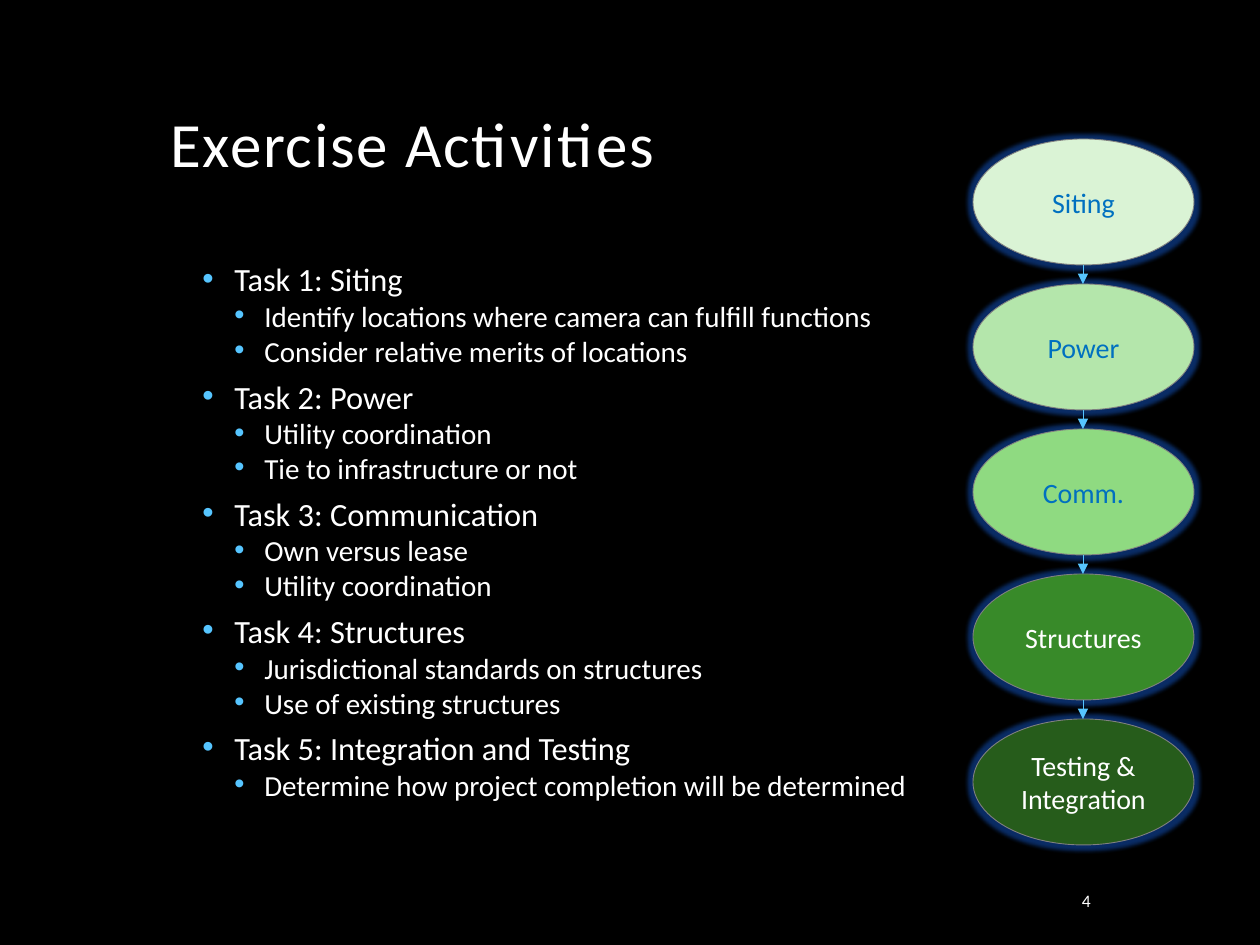
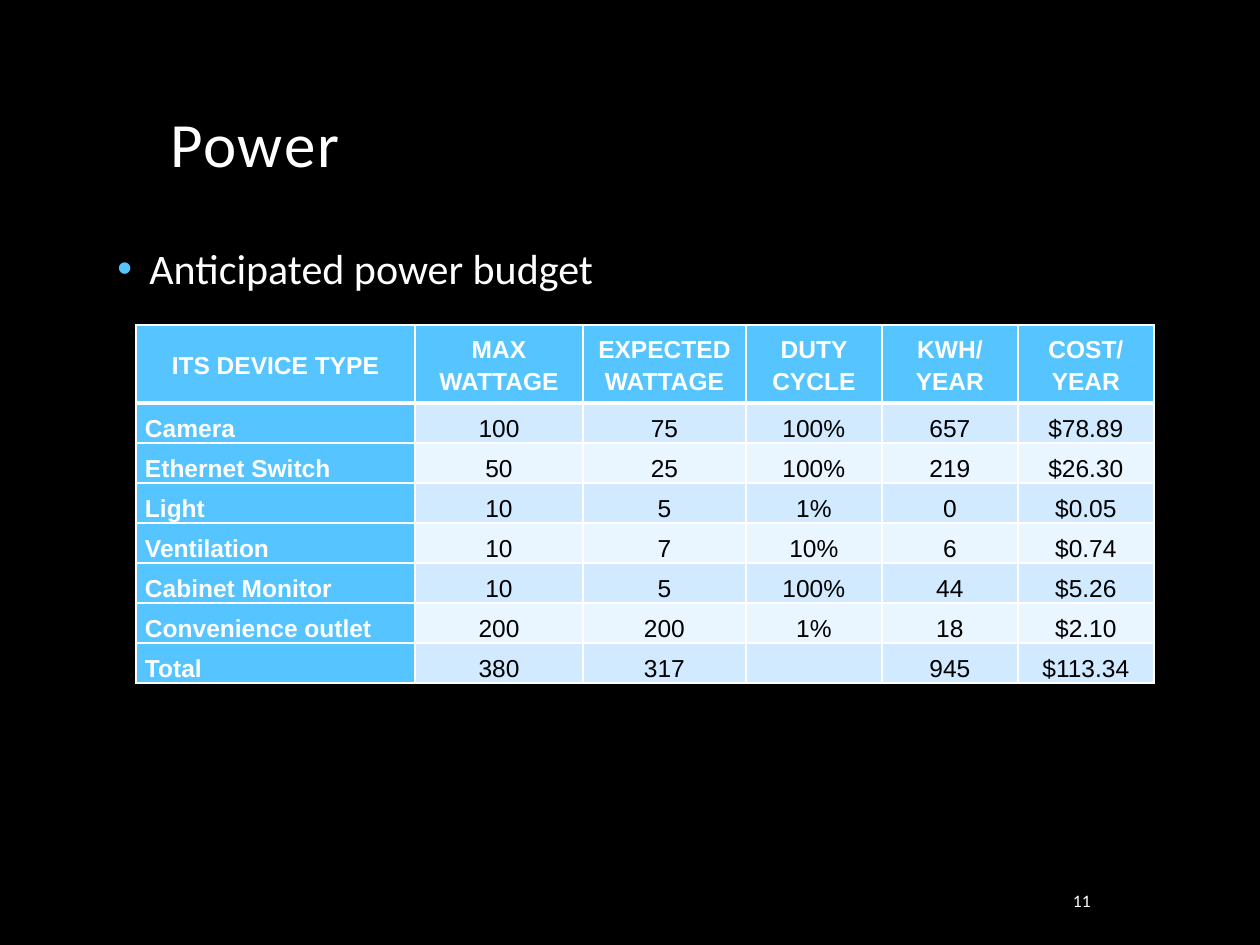
from lxml import etree
from pptx import Presentation
from pptx.dml.color import RGBColor
from pptx.enum.shapes import MSO_CONNECTOR as CONN, MSO_SHAPE as SHAPE
from pptx.enum.text import MSO_ANCHOR as ANCHOR, PP_ALIGN as ALIGN
from pptx.oxml.ns import qn
from pptx.util import Emu, Pt

PX_PER_INCH = 126
BLACK, WHITE, SKY, BLUE = "000000", "FFFFFF", "56C5FF", "0070C0"
GRAY, GLOW = "808080", "1970FF"
BANDS = ["D1EAFF", "E9F5FF"]

TASKS = [
    ("Task 1: Siting", ["Identify locations where camera can fulfill functions",
                        "Consider relative merits of locations"]),
    ("Task 2: Power", ["Utility coordination", "Tie to infrastructure or not"]),
    ("Task 3: Communication", ["Own versus lease", "Utility coordination"]),
    ("Task 4: Structures", ["Jurisdictional standards on structures",
                            "Use of existing structures"]),
    ("Task 5: Integration and Testing",
     ["Determine how project completion will be determined"]),
]
STEPS = [
    ("Siting", "DAF3D5", BLUE),
    ("Power", "B4E6AB", BLUE),
    ("Comm.", "8FDA81", BLUE),
    ("Structures", "388A29", WHITE),
    ("Testing & Integration", "265C1B", WHITE),
]
BUDGET = [
    ["ITS DEVICE TYPE", "MAX WATTAGE", "EXPECTED WATTAGE", "DUTY CYCLE",
     "KWH/\nYEAR", "COST/\nYEAR"],
    ["Camera", "100", "75", "100%", "657", "$78.89"],
    ["Ethernet Switch", "50", "25", "100%", "219", "$26.30"],
    ["Light", "10", "5", "1%", "0", "$0.05"],
    ["Ventilation", "10", "7", "10%", "6", "$0.74"],
    ["Cabinet Monitor", "10", "5", "100%", "44", "$5.26"],
    ["Convenience outlet", "200", "200", "1%", "18", "$2.10"],
    ["Total", "380", "317", "", "945", "$113.34"],
]


def px(n):
    return Emu(round(n * 914400 / PX_PER_INCH))


def rgb(color):
    return RGBColor.from_string(color)


def sub(parent, tag, **attrs):
    return etree.SubElement(parent, qn(tag), {k: str(v) for k, v in attrs.items()})


def add_bullet(p, left, hanging):
    pPr = p._p.get_or_add_pPr()
    pPr.set("marL", str(px(left)))
    pPr.set("indent", str(-px(hanging)))
    sub(sub(pPr, "a:buClr"), "a:srgbClr", val=SKY)
    sub(pPr, "a:buFont", typeface="Arial")
    sub(pPr, "a:buChar", char="•")


def write(tf, text, size, color=WHITE, font="Calibri", bold=False, align=ALIGN.LEFT,
          line=1.0, before=0, spacing=0, bullet=None):
    for part in text.split("\n"):
        first = not tf.paragraphs[0].runs
        p = tf.paragraphs[0] if first else tf.add_paragraph()
        p.alignment, p.line_spacing = align, line
        p.space_before = Pt(0 if first else before)
        if bullet:
            add_bullet(p, *bullet)
        r = p.add_run()
        r.text = part
        r.font.name, r.font.size, r.font.bold = font, Pt(size), bold
        r.font.color.rgb = rgb(color)
        if spacing:
            r._r.get_or_add_rPr().set("spc", str(spacing * 100))


def add_box(s, x, y, w, h, anchor=ANCHOR.TOP):
    tf = s.shapes.add_textbox(px(x), px(y), px(w), px(h)).text_frame
    tf.word_wrap, tf.vertical_anchor = True, anchor
    return tf


def new_slide(prs, title, number):
    s = prs.slides.add_slide(prs.slide_layouts[6])
    write(add_box(s, 158, 53, 945, 189, ANCHOR.MIDDLE), title, 36, line=0.9, spacing=1)
    write(add_box(s, 1016, 882, 87, 38, ANCHOR.MIDDLE), str(number), 10,
          align=ALIGN.RIGHT)
    return s


def add_step(s, x, y, w, h, label, fill, color):
    sp = s.shapes.add_shape(SHAPE.OVAL, px(x), px(y), px(w), px(h))
    sp.shadow.inherit = False
    sp.fill.solid()
    sp.fill.fore_color.rgb = rgb(fill)
    sp.line.color.rgb, sp.line.width = rgb(GRAY), Pt(0.5)
    effects = sp._element.spPr.find(qn("a:effectLst"))
    glow = sub(sub(effects, "a:glow", rad=Pt(5)), "a:srgbClr", val=GLOW)
    sub(glow, "a:alpha", val=40000)
    tf = sp.text_frame
    tf.word_wrap, tf.vertical_anchor = True, ANCHOR.MIDDLE
    write(tf, label, 16, color, align=ALIGN.CENTER)


def add_arrow(s, x, top, bottom):
    arrow = s.shapes.add_connector(CONN.STRAIGHT, px(x), px(top), px(x), px(bottom))
    arrow.line.color.rgb, arrow.line.width = rgb(SKY), Pt(0.5)
    sub(arrow.line._get_or_add_ln(), "a:tailEnd", type="triangle")
    sub(arrow._element.spPr, "a:effectLst")


def add_flow(s, x, y, w, h, pitch):
    tops = [y + pitch * i for i in range(len(STEPS))]
    for top, step in zip(tops, STEPS):
        add_step(s, x, top, w, h, *step)
    for top, following in zip(tops, tops[1:]):
        add_arrow(s, x + w // 2, top + h, following)


def add_borders(cell, top, bottom):
    tcPr = cell._tc.get_or_add_tcPr()
    for side, width in (("L", 1), ("R", 1), ("T", top), ("B", bottom)):
        ln = sub(tcPr, f"a:ln{side}", w=Pt(width))
        sub(sub(ln, "a:solidFill"), "a:srgbClr", val=WHITE)


def fill_cell(cell, text, row, col):
    header, label = row == 0, row == 0 or col == 0
    add_borders(cell, 3 if row == 1 else 1, 3 if header else 1)
    cell.fill.solid()
    cell.fill.fore_color.rgb = rgb(SKY if label else BANDS[(row - 1) % 2])
    cell.margin_left = cell.margin_right = px(9)
    cell.margin_top = cell.margin_bottom = 0
    cell.vertical_anchor = ANCHOR.MIDDLE if header else ANCHOR.BOTTOM
    if text:
        write(cell.text_frame, text, 14, WHITE if label else BLACK, "Arial", label,
              ALIGN.CENTER if header or col else ALIGN.LEFT, line=1.15)


def add_budget(s, x, y, widths, heights):
    table = s.shapes.add_table(len(heights), len(widths), px(x), px(y),
                               px(sum(widths)), px(sum(heights))).table
    for column, width in zip(table.columns, widths):
        column.width = px(width)
    for row, height in zip(table.rows, heights):
        row.height = px(height)
    for i, values in enumerate(BUDGET):
        for j, value in enumerate(values):
            fill_cell(table.cell(i, j), value, i, j)


def add_activities(prs):
    s = new_slide(prs, "Exercise Activities", 4)
    tf = add_box(s, 158, 264, 944, 567)
    for task, details in TASKS:
        write(tf, task, 18.5, line=0.7, before=11.5, bullet=(64, 32))
        for detail in details:
            write(tf, detail, 16.6, line=0.7, before=6, bullet=(94, 30))
    add_flow(s, 973, 139, 221, 126, 145)


def add_power(prs):
    s = new_slide(prs, "Power", 11)
    write(add_box(s, 105, 242, 685, 53), "Anticipated power budget", 24,
          line=0.9, bullet=(32, 32))
    add_budget(s, 136, 325, [279, 168, 163, 136, 136, 136], [78] + [40] * 7)


def main():
    prs = Presentation()
    prs.slide_width, prs.slide_height = px(1260), px(945)
    background = prs.slide_master.background.fill
    background.solid()
    background.fore_color.rgb = rgb(BLACK)
    add_activities(prs)
    add_power(prs)
    prs.save("out.pptx")


if __name__ == "__main__":
    main()
